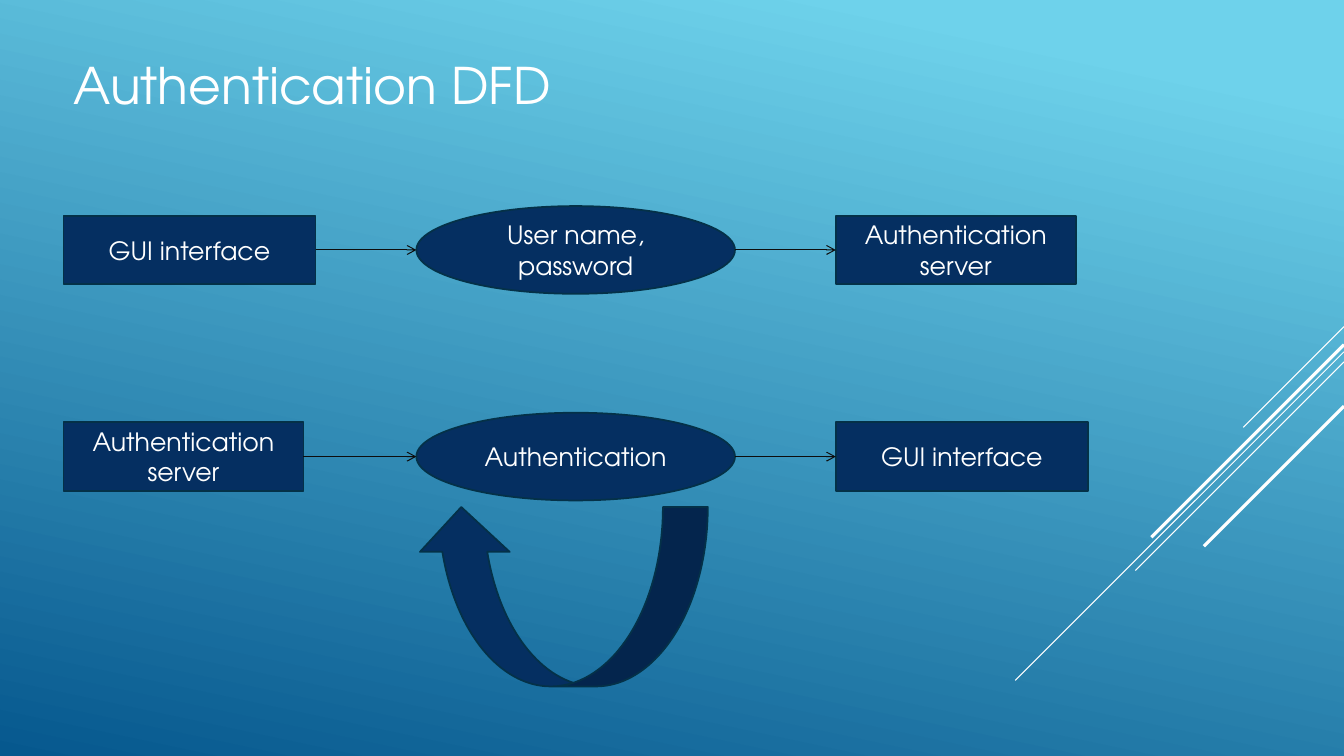
from lxml import etree
from pptx import Presentation, util as u
from pptx.dml import color
from pptx.enum import shapes, text
from pptx.oxml import ns

HUES = {"sky": "6ED2EB", "deep": "06588E", "navy": "052F61",
        "edge": "043148", "ink": "0D0D0D", "white": "FFFFFF"}
FONT = "TeX Gyre Adventor"
KIND = shapes.MSO_SHAPE


def rgb(name):
    """Look up a named colour."""
    return color.RGBColor.from_string(HUES[name])


def apply(item, form):
    """Set each attribute in form on item."""
    for key, val in form.items():
        setattr(item, key, val)


class Board:
    """The current slide and its style."""

    def __init__(self, deck):
        """Add a title-only slide with a gradient background."""
        self.slide = deck.slides.add_slide(deck.slide_layouts[5])
        fill = self.slide.background.fill
        fill.gradient()
        fill.gradient_angle = 258
        for stop, (pos, hue) in zip(fill.gradient_stops, [(0.1, "sky"), (1, "deep")]):
            stop.position = pos
            stop.color.rgb = rgb(hue)

    def label(self, item, words, size, align, anchor, fit):
        """Put styled text into a shape."""
        frame = item.text_frame
        frame.text = words
        apply(frame, {"word_wrap": True, "vertical_anchor": anchor, "auto_size": fit})
        para = frame.paragraphs[0]
        para.alignment = align
        font = para.runs[0].font
        apply(font, {"name": FONT, "size": u.Pt(size)})
        font.color.rgb = rgb("white")

    def title(self, words, *spot):
        """Place and fill the title."""
        item = self.slide.shapes.title
        apply(item, dict(zip(("left", "top", "width", "height"), map(u.Inches, spot))))
        self.label(item, words, 36, text.PP_ALIGN.LEFT, text.MSO_ANCHOR.TOP,
                   text.MSO_AUTO_SIZE.SHAPE_TO_FIT_TEXT)

    def shape(self, kind, spot, words=""):
        """Add a navy shape, with a label if given."""
        item = self.slide.shapes.add_shape(kind, *map(u.Inches, spot))
        item.shadow.inherit = False
        item.fill.solid()
        item.fill.fore_color.rgb = rgb("navy")
        item.line.color.rgb = rgb("edge")
        item.line.width = u.Pt(1.25)
        if words:
            self.label(item, words, 18, text.PP_ALIGN.CENTER,
                       text.MSO_ANCHOR.MIDDLE, text.MSO_AUTO_SIZE.NONE)
        return item

    def line(self, start, end, hue, width=0.75, arrow=False):
        """Add a straight line, with an open arrowhead if asked."""
        item = self.slide.shapes.add_connector(
            shapes.MSO_CONNECTOR.STRAIGHT, *map(u.Inches, (*start, *end)))
        item.line.color.rgb = rgb(hue)
        item.line.width = u.Pt(width)
        props = item._element.spPr
        if arrow:
            tail = etree.SubElement(props.get_or_add_ln(), ns.qn("a:tailEnd"))
            tail.set("type", "arrow")
        etree.SubElement(props, ns.qn("a:effectLst"))


def flow(board, mid, first, step, last):
    """Draw one row: box, arrow, oval, arrow, box; boxes are (label, width)."""
    left, oval, right = 0.63, 4.13, 8.29
    wide, tall, high = 3.16, 0.68, 0.87
    for x, (words, width) in ((left, first), (right, last)):
        board.shape(KIND.RECTANGLE, (x, mid - tall / 2, width, tall), words)
    board.shape(KIND.OVAL, (oval, mid - high / 2, wide, high), step)
    for start, end in ((left + first[1], oval), (oval + wide, right)):
        board.line((start, mid), (end, mid), "ink", arrow=True)


deck = Presentation()
apply(deck, {"slide_width": u.Inches(13.33), "slide_height": u.Inches(7.5)})
board = Board(deck)

# Diagonal strokes run down and left from the right edge: top, run, width
for top, run, width in ((3.24, 1, 0.75), (3.49, 3.26, 0.75), (3.59, 2.07, 0.75),
                        (3.42, 1.91, 2.25), (4.03, 1.39, 2.25)):
    board.line((13.33, top), (13.33 - run, top + run), "white", width)

board.title("Authentication DFD", 0.63, 0.49, 6.43, 0.71)
client = ("GUI interface", 2.5)
server = ("Authentication server", 2.38)
flow(board, 2.48, client, "User name, password", server)
flow(board, 4.53, server, "Authentication", client)

loop = board.shape(KIND.CURVED_UP_ARROW, (4.13, 5.03, 2.89, 1.78))
loop._element.spPr.xfrm.set("flipH", "1")

deck.save("out.pptx")
